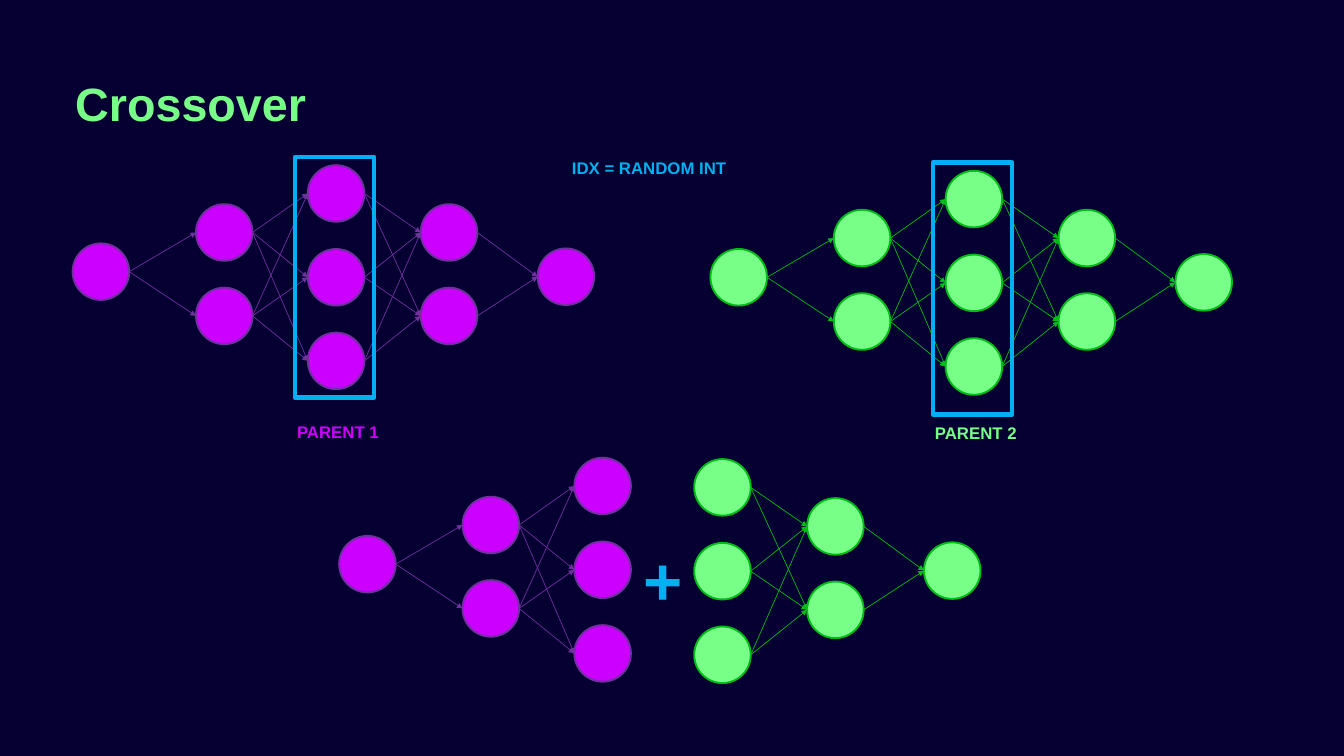
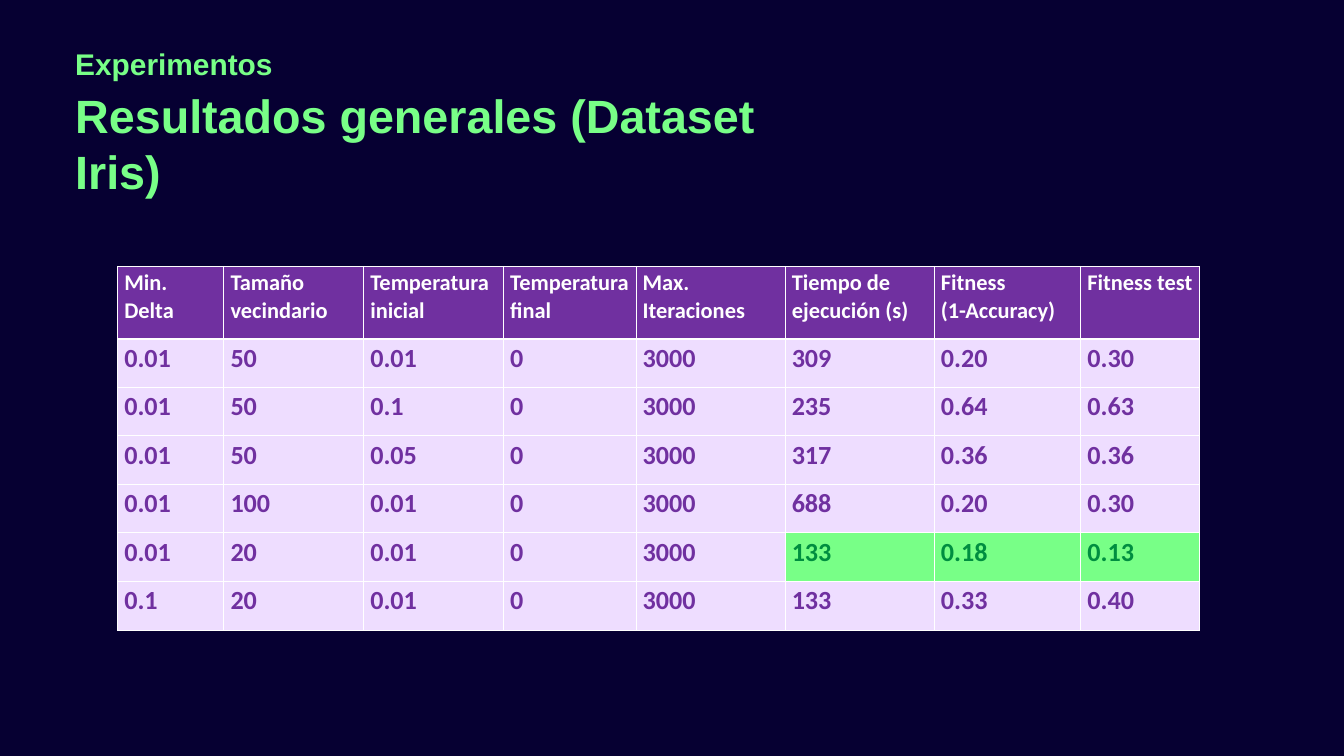
from itertools import product

from lxml import etree
from pptx import Presentation
from pptx.dml.color import RGBColor
from pptx.enum.shapes import MSO_CONNECTOR, MSO_SHAPE
from pptx.enum.text import MSO_ANCHOR, MSO_AUTO_SIZE, PP_ALIGN
from pptx.oxml.ns import qn
from pptx.util import Pt

COLORS = {
    "background": "060032", "green": "78FF87", "green_line": "00BC16",
    "green_text": "008E40", "magenta": "CC00FF", "purple": "7030A0",
    "blue": "00B0F0", "lilac": "EEDDFF", "white": "FFFFFF",
}
PARENT_1 = ("magenta", "purple")
PARENT_2 = ("green", "green_line")

MARGIN_LEFT = 80.6
DIAMETER = 60.6
# One (left, node tops) pair per layer, relative to the network's corner
LAYERS = [
    (0, [83.8]),
    (132.2, [41.8, 131.2]),
    (252, [0, 89.8, 179.4]),
    (373, [41.8, 131.2]),
    (498.2, [89.2]),
]

COLUMN_WIDTHS = [113.8, 149.8, 149.8, 142, 159.8, 159.8, 157, 127]
HEADER_HEIGHT, ROW_HEIGHT = 77.8, 52
HEADERS = ["Min. Delta", "Tamaño vecindario", "Temperatura inicial",
           "Temperatura final", "Max. Iteraciones", "Tiempo de ejecución (s)",
           "Fitness\n(1-Accuracy)", "Fitness test"]
RESULTS = [
    ["0.01", "50", "0.01", "0", "3000", "309", "0.20", "0.30"],
    ["0.01", "50", "0.1", "0", "3000", "235", "0.64", "0.63"],
    ["0.01", "50", "0.05", "0", "3000", "317", "0.36", "0.36"],
    ["0.01", "100", "0.01", "0", "3000", "688", "0.20", "0.30"],
    ["0.01", "20", "0.01", "0", "3000", "133", "0.18", "0.13"],
    ["0.1", "20", "0.01", "0", "3000", "133", "0.33", "0.40"],
]
BEST_ROW, FIRST_BEST_COLUMN = 5, 5


def color(name):
    return RGBColor.from_string(COLORS[name])


def write_text(frame, text, size, color_name, font="Arial", align=PP_ALIGN.LEFT,
               line_spacing=None):
    """Fill a text frame with bold text, one paragraph per line."""
    frame.word_wrap = True
    for index, line in enumerate(text.split("\n")):
        paragraph = frame.add_paragraph() if index else frame.paragraphs[0]
        paragraph.text = line
        paragraph.alignment = align
        if line_spacing:
            paragraph.line_spacing = Pt(line_spacing)
        paragraph.font.name = font
        paragraph.font.size = Pt(size)
        paragraph.font.bold = True
        paragraph.font.color.rgb = color(color_name)


def place(shape, left, top, width, height):
    shape.left, shape.top = Pt(left), Pt(top)
    shape.width, shape.height = Pt(width), Pt(height)


def write_heading(shape, text, box, size):
    """Format the title or the line above it."""
    place(shape, *box)
    frame = shape.text_frame
    frame.auto_size = MSO_AUTO_SIZE.NONE
    frame.vertical_anchor = MSO_ANCHOR.TOP
    frame.margin_left = frame.margin_top = frame.margin_right = frame.margin_bottom = 0
    write_text(frame, text, size, "green", line_spacing=60)


def add_titled_slide(presentation, title, box):
    slide = presentation.slides.add_slide(presentation.slide_layouts[5])
    write_heading(slide.shapes.title, title, box, 50)
    return slide


def add_label(slide, text, box, color_name, size=18):
    label = slide.shapes.add_textbox(*map(Pt, box))
    write_text(label.text_frame, text, size, color_name, align=PP_ALIGN.CENTER)


def add_outlined_shape(slide, preset, box, line_color, line_width, fill_color=None):
    shape = slide.shapes.add_shape(preset, *map(Pt, box))
    shape.shadow.inherit = False
    if fill_color:
        shape.fill.solid()
        shape.fill.fore_color.rgb = color(fill_color)
    else:
        shape.fill.background()
    shape.line.color.rgb = color(line_color)
    shape.line.width = Pt(line_width)


def add_arrow(slide, start, end, line_color):
    arrow = slide.shapes.add_connector(MSO_CONNECTOR.STRAIGHT, *map(Pt, start + end))
    arrow.line.color.rgb = color(line_color)
    arrow.line.width = Pt(0.75)
    properties = arrow._element.spPr
    etree.SubElement(properties.find(qn("a:ln")), qn("a:tailEnd"), type="triangle")
    etree.SubElement(properties, qn("a:effectLst"))


def add_network(slide, left, top, palette, layers=LAYERS):
    """Draw layers of nodes and link every node to all nodes of the next layer."""
    fill_color, line_color = palette
    for x, tops in layers:
        for y in tops:
            add_outlined_shape(slide, MSO_SHAPE.OVAL,
                               (left + x, top + y, DIAMETER, DIAMETER),
                               line_color, 2, fill_color)
    middle = top + DIAMETER / 2
    for (x, tops), (next_x, next_tops) in zip(layers, layers[1:]):
        for y, next_y in product(tops, next_tops):
            add_arrow(slide, (left + x + DIAMETER, middle + y),
                      (left + next_x, middle + next_y), line_color)


def add_parent(slide, left, top, palette, name, frame_height, label_top):
    """Draw a whole network with its crossover layer framed and its name below."""
    add_network(slide, left, top, palette)
    layer_left = left + LAYERS[2][0]
    add_outlined_shape(slide, MSO_SHAPE.RECTANGLE,
                       (layer_left - 13.8, top - 8.8, 85, frame_height), "blue", 4.5)
    add_label(slide, name, (layer_left - 63.8, label_top, 192.2, 29), palette[0])


def add_child(slide, left, top):
    """Join the first layers of one parent to the last layers of the other."""
    add_network(slide, left, top, PARENT_1, LAYERS[:3])
    add_network(slide, left + 128.4, top + 1.5, PARENT_2, LAYERS[2:])
    add_label(slide, "+", (left + 221.8, top + 82.8, 250.6, 94.3), "blue", size=72)


def style_cell(cell, text, fill_color, text_color, size, bottom_width=1):
    properties = cell._tc.get_or_add_tcPr()
    for side, width in (("L", 1), ("R", 1), ("T", 1), ("B", bottom_width)):
        border = etree.SubElement(properties, qn(f"a:ln{side}"), w=str(Pt(width)))
        fill = etree.SubElement(border, qn("a:solidFill"))
        etree.SubElement(fill, qn("a:srgbClr"), val=COLORS["white"])
    cell.fill.solid()
    cell.fill.fore_color.rgb = color(fill_color)
    write_text(cell.text_frame, text, size, text_color, font="Calibri")


def add_results_table(slide, left, top):
    rows = [HEADERS] + RESULTS
    height = HEADER_HEIGHT + ROW_HEIGHT * len(RESULTS)
    frame = slide.shapes.add_table(len(rows), len(HEADERS), Pt(left), Pt(top),
                                   Pt(sum(COLUMN_WIDTHS)), Pt(height))
    table = frame.table
    table.horz_banding = False
    for column, width in zip(table.columns, COLUMN_WIDTHS):
        column.width = Pt(width)
    for row_index, values in enumerate(rows):
        table.rows[row_index].height = Pt(ROW_HEIGHT if row_index else HEADER_HEIGHT)
        for column_index, value in enumerate(values):
            cell = table.cell(row_index, column_index)
            if row_index == 0:
                style_cell(cell, value, "purple", "white", 24, bottom_width=3)
            elif row_index == BEST_ROW and column_index >= FIRST_BEST_COLUMN:
                style_cell(cell, value, "green", "green_text", 28)
            else:
                style_cell(cell, value, "lilac", "purple", 28)


def build_crossover_slide(presentation):
    slide = add_titled_slide(presentation, "Crossover", (MARGIN_LEFT, 80, 872.6, 60.5))
    add_parent(slide, 77.8, 177, PARENT_1, "PARENT 1", 257.8, 447.8)
    add_parent(slide, 761.2, 183, PARENT_2, "PARENT 2", 270, 449.3)
    # Both frames start at the same height
    add_label(slide, "IDX = RANDOM INT", (570.2, 165.6, 250.6, 29), "blue")
    add_child(slide, 363.4, 490.4)


def build_results_slide(presentation):
    slide = add_titled_slide(presentation, "Resultados generales (Dataset Iris)",
                             (MARGIN_LEFT, 92.9, 753, 121))
    section = slide.shapes.add_textbox(0, 0, 0, 0)
    write_heading(section, "Experimentos", (MARGIN_LEFT, 27.4, 753, 55.4), 32)
    add_results_table(slide, 126, 285.2)


def main():
    presentation = Presentation()
    presentation.slide_width, presentation.slide_height = Pt(1440), Pt(810)
    background = presentation.slide_master.background.fill
    background.solid()
    background.fore_color.rgb = color("background")
    build_crossover_slide(presentation)
    build_results_slide(presentation)
    presentation.save("out.pptx")


if __name__ == "__main__":
    main()
